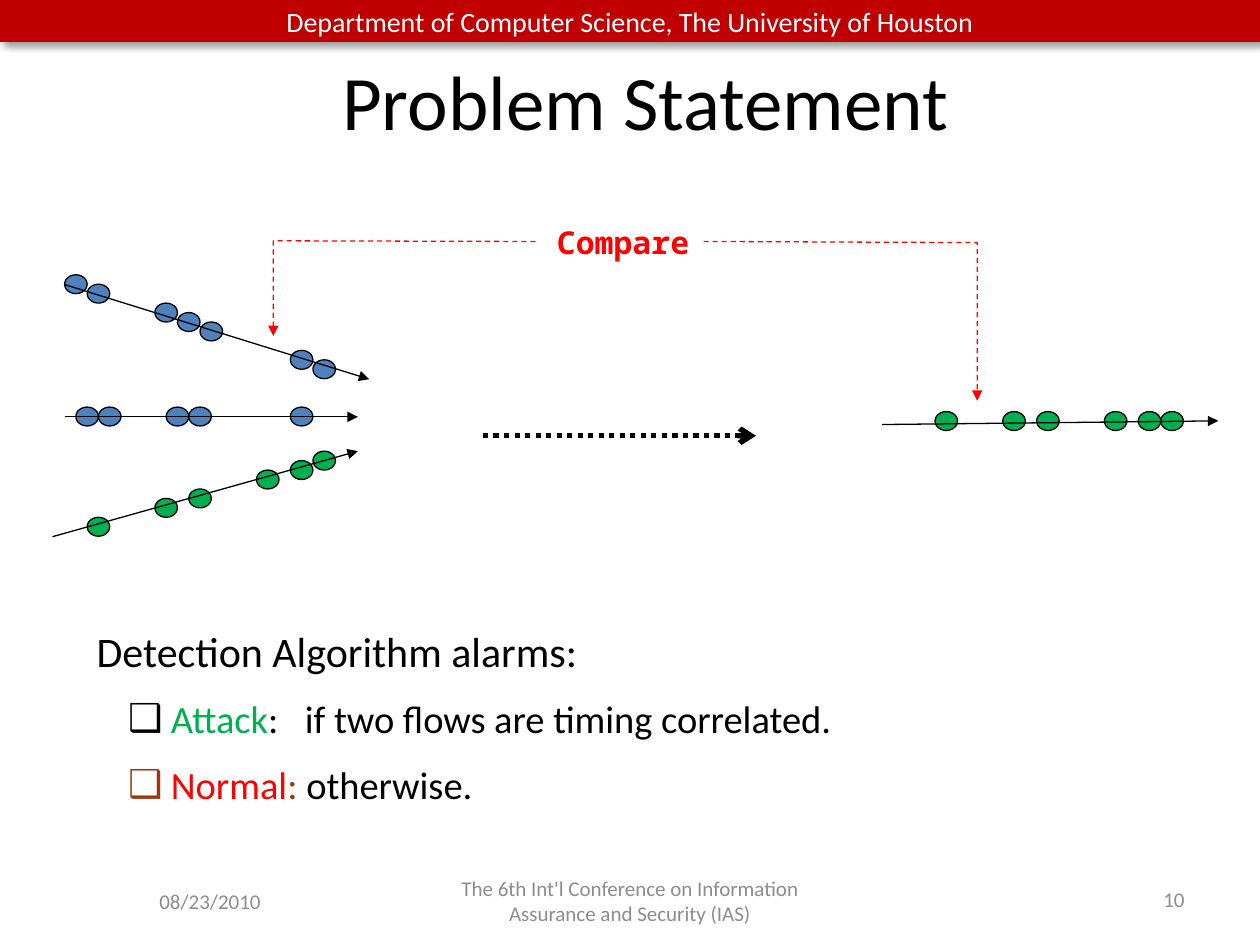
from lxml.etree import SubElement
from pptx import Presentation
from pptx.dml.color import RGBColor
from pptx.enum.dml import MSO_LINE as Dash
from pptx.enum.shapes import MSO_CONNECTOR as Connector, MSO_SHAPE as Shape
from pptx.enum.text import MSO_ANCHOR as Anchor, MSO_AUTO_SIZE as AutoSize, PP_ALIGN as Align
from pptx.oxml.ns import qn
from pptx.util import Pt

COLORS = {
    "black": "000000", "white": "FFFFFF", "banner": "C00000", "footer": "8C8C8C",
    "blue": "4F81BD", "green": "00B050", "red": "FF0000", "rust": "9E3611",
}
PACKET_SIZE = (12.9, 10.8)
COLUMN, ROW = 6.45, 5.4  # packets sit on a grid of half packet sizes

# origin of the packet grid, colour, arrow start, arrow end, (column, row) of each packet
FLOWS = [
    ((36.9, 157), "blue", (36.9, 162.6), (211, 216.7),
     [(0, 0), (2, 1), (8, 3), (10, 4), (12, 5), (20, 8), (22, 9)]),
    ((36.9, 232.6), "blue", (36.9, 238.2), (204.5, 238.2),
     [(1, 0), (3, 0), (9, 0), (11, 0), (20, 0)]),
    ((36.9, 257.8), "green", (30, 306.7), (204.5, 257.8),
     [(2, 7), (8, 5), (11, 4), (17, 2), (20, 1), (22, 0)]),
    ((534.3, 235.2), "green", (504, 242.6), (696.2, 240.5),
     [(0, 0), (6, 0), (9, 0), (15, 0), (18, 0), (20, 0)]),
]
COMPARE_PATHS = [
    [(306, 138), (156.2, 137.6), (156.2, 192)],
    [(402, 138), (558.4, 138.7), (558.4, 229)],
]
FOOTERS = [
    ("08/23/2010", (36, 500.4, 168, 28.8), Align.CENTER),
    ("The 6th Int'l Conference on Information Assurance and Security (IAS)",
     (246, 500.4, 228, 28.8), Align.CENTER),
    ("10", (516, 499.4, 168, 28.8), Align.RIGHT),
]
# bullet colour, runs, tab stops
ALARMS = [
    ("black", [("Attack", "green"), (":\tif two flows are timing correlated.", "black")], [119]),
    ("rust", [("Normal", "red"), (": ", "rust"), ("otherwise.", "black")], []),
]


def color(name):
    return RGBColor.from_string(COLORS[name])


def set_values(target, values):
    for name, value in values.items():
        setattr(target, name, value)


class SlideBuilder:
    font_name = "Calibri"

    def __init__(self, slide):
        self.slide = slide

    def place(self, shape, box):
        set_values(shape, dict(zip(("left", "top", "width", "height"), map(Pt, box))))

    def run(self, paragraph, text, size, color_name, **font):
        run = paragraph.add_run()
        run.text = text
        set_values(run.font, {"name": self.font_name, "size": Pt(size), **font})
        run.font.color.rgb = color(color_name)

    def title(self, text, box):
        shape = self.slide.shapes.title
        self.place(shape, box)
        paragraph = shape.text_frame.paragraphs[0]
        paragraph.alignment = Align.CENTER
        self.run(paragraph, text, 44, "black")

    def text(self, text, box, size, color_name, align=Align.CENTER, anchor=Anchor.MIDDLE, **font):
        shape = self.slide.shapes.add_textbox(*map(Pt, box))
        set_values(shape.text_frame, {"word_wrap": True, "vertical_anchor": anchor})
        paragraph = shape.text_frame.paragraphs[0]
        paragraph.alignment = align
        self.run(paragraph, text, size, color_name, **font)

    def banner(self, text, box):
        shape = self.slide.shapes.add_shape(Shape.RECTANGLE, *map(Pt, box))
        shape.fill.solid()
        shape.fill.fore_color.rgb = color("banner")
        shape.line.fill.background()
        effects = SubElement(shape._element.spPr, qn("a:effectLst"))
        shadow = SubElement(effects, qn("a:outerShdw"), blurRad=str(Pt(4)), dist=str(Pt(3)),
                            dir="2700000", algn="tl", rotWithShape="0")
        shade = SubElement(shadow, qn("a:srgbClr"), val=COLORS["black"])
        SubElement(shade, qn("a:alpha"), val="40000")
        shape.text_frame.vertical_anchor = Anchor.MIDDLE
        paragraph = shape.text_frame.paragraphs[0]
        paragraph.alignment = Align.CENTER
        self.run(paragraph, text, 16, "white")

    def alarm_list(self, heading, items, box):
        shape = self.slide.placeholders[1]
        self.place(shape, box)
        frame = shape.text_frame
        set_values(frame, {"auto_size": AutoSize.NONE, "vertical_anchor": Anchor.TOP})
        paragraph = frame.paragraphs[0]
        self.bullet(paragraph, None, 0, 0)
        paragraph.space_before = Pt(0)
        self.run(paragraph, heading, 24, "black")
        for bullet_color, runs, tabs in items:
            paragraph = frame.add_paragraph()
            paragraph.level = 1
            self.bullet(paragraph, bullet_color, 42.5, -24.5, tabs)
            paragraph.space_before = Pt(11)
            for text, color_name in runs:
                self.run(paragraph, text, 22, color_name)

    def bullet(self, paragraph, color_name, margin, indent, tabs=()):
        properties = paragraph._p.get_or_add_pPr()
        properties.set("marL", str(Pt(margin)))
        properties.set("indent", str(Pt(indent)))
        if color_name:
            tint = SubElement(properties, qn("a:buClr"))
            SubElement(tint, qn("a:srgbClr"), val=COLORS[color_name])
            SubElement(properties, qn("a:buChar"), char="❑")
        else:
            SubElement(properties, qn("a:buNone"))
        if tabs:
            tab_list = SubElement(properties, qn("a:tabLst"))
            for position in tabs:
                SubElement(tab_list, qn("a:tab"), pos=str(Pt(position)), algn="l")

    def arrow_line(self, shape, color_name, width, dash, head):
        shape.line.color.rgb = color(color_name)
        set_values(shape.line, {"width": Pt(width), "dash_style": dash})
        SubElement(shape._element.spPr.find(qn("a:ln")), qn("a:tailEnd"), type=head)

    def arrow(self, start, end, width=0.75, dash=None, head="triangle", shapes=None):
        shapes = shapes or self.slide.shapes
        connector = shapes.add_connector(Connector.STRAIGHT, *map(Pt, start + end))
        self.arrow_line(connector, "black", width, dash, head)
        SubElement(connector._element.spPr, qn("a:effectLst"))

    def bent_arrow(self, points):
        start, *others = [(Pt(x), Pt(y)) for x, y in points]
        builder = self.slide.shapes.build_freeform(*start)
        builder.add_line_segments(others, close=False)
        shape = builder.convert_to_shape()
        shape.fill.background()
        self.arrow_line(shape, "red", 0.75, Dash.DASH, "triangle")
        shape.shadow.inherit = False

    def flow(self, origin, color_name, start, end, cells):
        """Draw an arrow with the packets that travel along it."""
        shapes = self.slide.shapes.add_group_shape().shapes
        self.arrow(start, end, shapes=shapes)
        for column, row in cells:
            box = (origin[0] + column * COLUMN, origin[1] + row * ROW, *PACKET_SIZE)
            packet = shapes.add_shape(Shape.OVAL, *map(Pt, box))
            packet.fill.solid()
            packet.fill.fore_color.rgb = color(color_name)
            packet.line.color.rgb = color("black")
            packet.line.width = Pt(0.75)
            packet.shadow.inherit = False


def main():
    presentation = Presentation()
    set_values(presentation, {"slide_width": Pt(720), "slide_height": Pt(540)})
    builder = SlideBuilder(presentation.slides.add_slide(presentation.slide_layouts[1]))

    builder.banner("Department of Computer Science, The University of Houston", (0, 0, 720, 24))
    builder.title("Problem Statement", (48, 18, 642, 78))
    for text, box, align in FOOTERS:
        builder.text(text, box, 12, "footer", align)
    builder.alarm_list("Detection Algorithm alarms:", ALARMS, (48, 354, 600, 115))
    builder.text("Compare", (301, 124, 110, 29), 18, "red", anchor=Anchor.TOP,
                 name="Noto Sans Mono", bold=True)
    for points in COMPARE_PATHS:
        builder.bent_arrow(points)
    builder.arrow((276, 249), (432, 249), 3, Dash.ROUND_DOT, "arrow")
    for flow in FLOWS:
        builder.flow(*flow)
    presentation.save("out.pptx")


if __name__ == "__main__":
    main()
